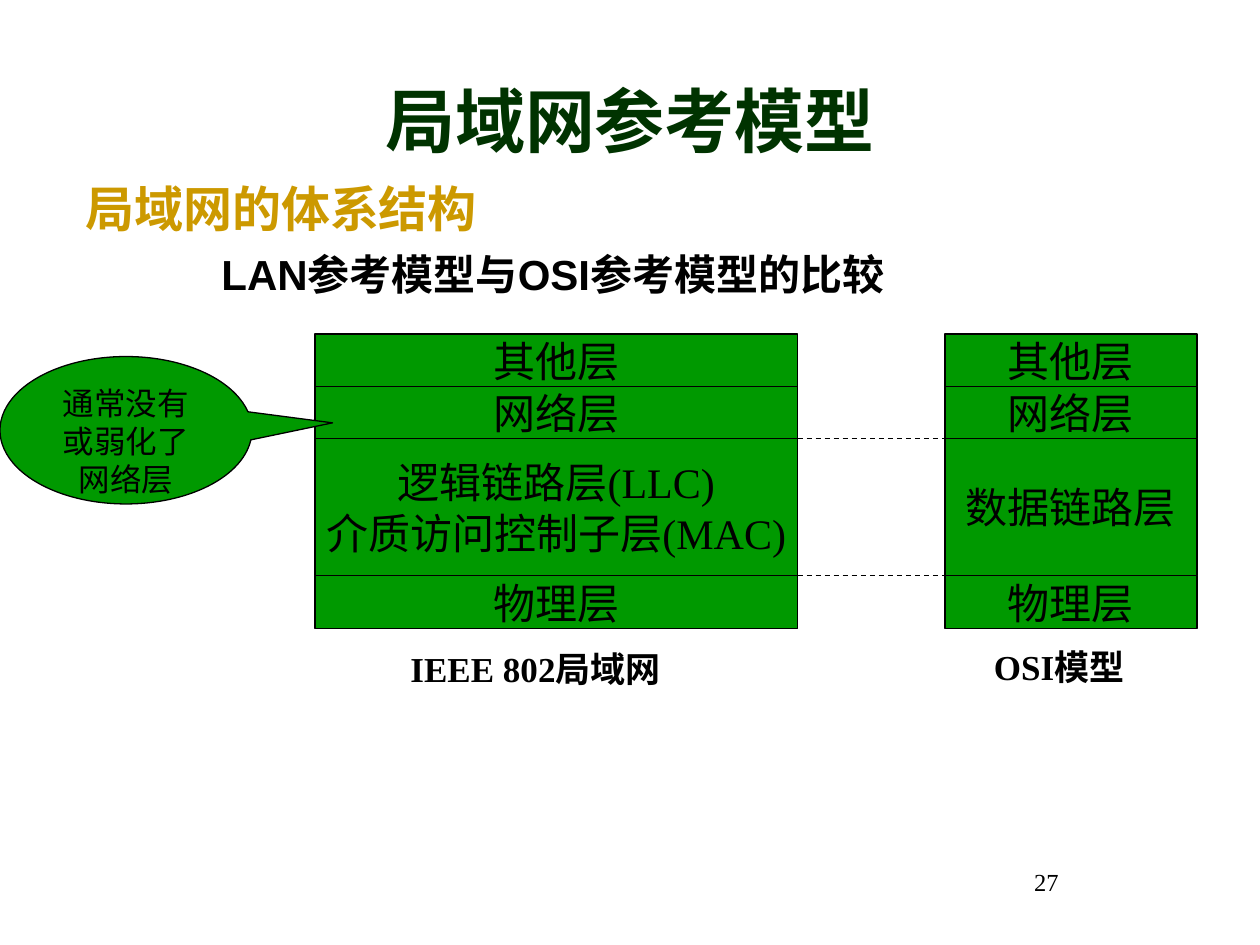
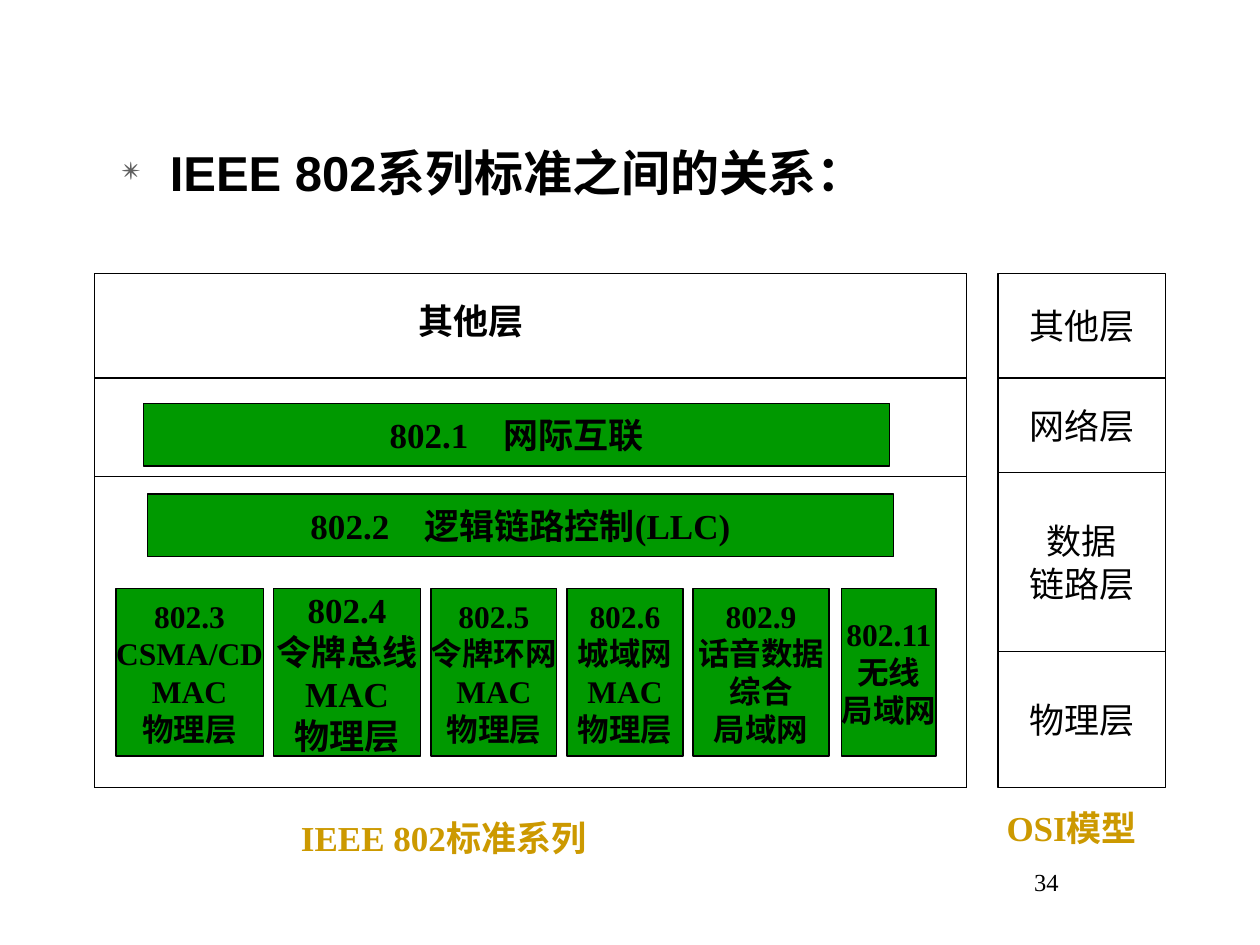
"""Build two slides on the LAN reference model and the IEEE 802 standards."""
import itertools

import lxml.etree
import pptx
import pptx.dml.color
import pptx.enum.dml
import pptx.enum.shapes
import pptx.enum.text
import pptx.oxml
import pptx.oxml.ns
import pptx.util

PX = 9144
GREEN, GOLD, DARK_GREEN = "009900", "CC9900", "003300"
BLACK, WHITE, GREY = "000000", "FFFFFF", "5F5F5F"
SERIF, SANS, DISPLAY = "Times New Roman", "Arial", "Montserrat"
RECTANGLE = pptx.enum.shapes.MSO_SHAPE.RECTANGLE
CALLOUT = pptx.enum.shapes.MSO_SHAPE.OVAL_CALLOUT
LEFT, CENTER, RIGHT = (pptx.enum.text.PP_ALIGN.LEFT, pptx.enum.text.PP_ALIGN.CENTER,
                       pptx.enum.text.PP_ALIGN.RIGHT)
TOP, MIDDLE, BOTTOM = (pptx.enum.text.MSO_ANCHOR.TOP, pptx.enum.text.MSO_ANCHOR.MIDDLE,
                       pptx.enum.text.MSO_ANCHOR.BOTTOM)


def color(value):
    return pptx.dml.color.RGBColor.from_string(value)


def put(page, bounds, text, size, fill=None, kind=RECTANGLE, ink=BLACK, bold=False,
        font=SERIF, align=CENTER, anchor=MIDDLE, wrap=False):
    area = [length * PX for length in bounds]
    if fill:
        box = page.shapes.add_shape(kind, *area)
        box.shadow.inherit = False
        box.fill.solid()
        box.fill.fore_color.rgb = color(fill)
        box.line.color.rgb = color(BLACK)
        box.line.width = pptx.util.Pt(0.75)
    else:
        box = page.shapes.add_textbox(*area)
    frame = box.text_frame
    frame.text = text
    frame.word_wrap = wrap
    frame.vertical_anchor = anchor
    for para in frame.paragraphs:
        para.alignment = align
        for span in para.runs:
            span.font.name = font
            span.font.size = pptx.util.Pt(size)
            span.font.bold = bold
            span.font.color.rgb = color(ink)
    return box


deck = pptx.Presentation()
deck.slide_width, deck.slide_height = 1000 * PX, 750 * PX
model_page, family_page = [deck.slides.add_slide(deck.slide_layouts[6]) for _ in range(2)]

put(model_page, (75, 56, 850, 77), "局域网参考模型", 40, ink=DARK_GREEN, bold=True,
    font=DISPLAY, anchor=BOTTOM, wrap=True)
heading = put(model_page, (58, 142, 850, 108), "局域网的体系结构\nLAN参考模型与OSI参考模型的比较",
              28, ink=GOLD, bold=True, font=SANS, align=LEFT, anchor=TOP, wrap=True)
section, comparison = heading.text_frame.paragraphs
section.line_spacing = comparison.line_spacing = 0.9
comparison.space_before = pptx.util.Pt(9)
comparison._p.get_or_add_pPr().set("marL", str(108 * PX))
comparison.runs[0].font.size = pptx.util.Pt(24)
comparison.runs[0].font.color.rgb = color(BLACK)

family_title = put(family_page, (87, 108, 850, 483), "IEEE 802系列标准之间的关系：", 28,
                   bold=True, font=SANS, align=LEFT, anchor=TOP, wrap=True)
properties = family_title.text_frame.paragraphs[0]._p.get_or_add_pPr()
properties.set("marL", str(38 * PX))
properties.set("indent", str(-38 * PX))
bullet_color = lxml.etree.SubElement(properties, pptx.oxml.ns.qn("a:buClr"))
lxml.etree.SubElement(bullet_color, pptx.oxml.ns.qn("a:srgbClr"), val=GREY)
lxml.etree.SubElement(properties, pptx.oxml.ns.qn("a:buSzPct"), val="65000")
lxml.etree.SubElement(properties, pptx.oxml.ns.qn("a:buChar"), char="✴")

model_edges = [265, 307, 348, 457, 499]
osi_edges = [217, 300, 375, 517, 625]
stacks = [
    (model_page, 250, 383, model_edges, GREEN, 24,
     ["其他层", "网络层", "逻辑链路层(LLC)\n介质访问控制子层(MAC)", "物理层"]),
    (model_page, 750, 200, model_edges, GREEN, 24, ["其他层", "网络层", "数据链路层", "物理层"]),
    (family_page, 792, 133, osi_edges, WHITE, 20, ["其他层", "网络层", "数据\n链路层", "物理层"]),
]
for page, left, width, edges, fill, size, layers in stacks:
    for layer, (top, bottom) in zip(layers, itertools.pairwise(edges)):
        put(page, (left, top, width, bottom - top), layer, size, fill)

standards = [
    (92, 117, 18, "802.3\nCSMA/CD\nMAC\n物理层"),
    (217, 117, 20, "802.4\n令牌总线\nMAC\n物理层"),
    (342, 100, 18, "802.5\n令牌环网\nMAC\n物理层"),
    (450, 92, 18, "802.6\n城域网\nMAC\n物理层"),
    (550, 108, 18, "802.9\n话音数据\n综合\n局域网"),
    (668, 75, 18, "802.11\n无线\n局域网"),
]
for left, width, size, text in standards:
    put(family_page, (left, 467, width, 133), text, size, GREEN, bold=True)
for left, top, text in [(114, 320, "802.1　网际互联"), (117, 392, "802.2　逻辑链路控制(LLC)")]:
    put(family_page, (left, top, 592, 50), text, 20, GREEN, bold=True)

layer_links = [(model_page, 633, y, 750, y) for y in model_edges[2:4]]
frame_rows = [(family_page, 75, y, 767, y) for y in (217, 300, 378, 625)]
frame_sides = [(family_page, x, 217, x, 625) for x in (75, 767)]
for page, *ends in layer_links + frame_rows + frame_sides:
    line = page.shapes.add_connector(pptx.enum.shapes.MSO_CONNECTOR.STRAIGHT,
                                     *[length * PX for length in ends])
    line.line.color.rgb = color(BLACK)
    line.line.width = pptx.util.Pt(0.75)
    if page is model_page:
        line.line.dash_style = pptx.enum.dml.MSO_LINE.DASH
    lxml.etree.SubElement(line._element.spPr, pptx.oxml.ns.qn("a:effectLst"))

captions = [
    (model_page, (316, 509, 240, 44), "IEEE 802局域网", BLACK),
    (model_page, (779, 507, 140, 44), "OSI模型", BLACK),
    (family_page, (322, 233, 115, 44), "其他层", BLACK),
    (family_page, (229, 643, 270, 44), "IEEE 802标准系列", GOLD),
    (family_page, (789, 635, 140, 44), "OSI模型", GOLD),
]
for page, bounds, text, ink in captions:
    put(page, bounds, text, 20, ink=ink, bold=True, align=LEFT, anchor=TOP, wrap=True)

callout = put(model_page, (0, 283, 200, 117), "通常没有或弱化了网络层", 18, GREEN, CALLOUT,
              anchor=TOP, wrap=True)
callout.adjustments[0] = 0.82
callout.adjustments[1] = -0.05

for page, number in [(model_page, "27"), (family_page, "34")]:
    put(page, (683, 683, 167, 50), number, 14, align=RIGHT, anchor=TOP, wrap=True)

deck.save("out.pptx")
